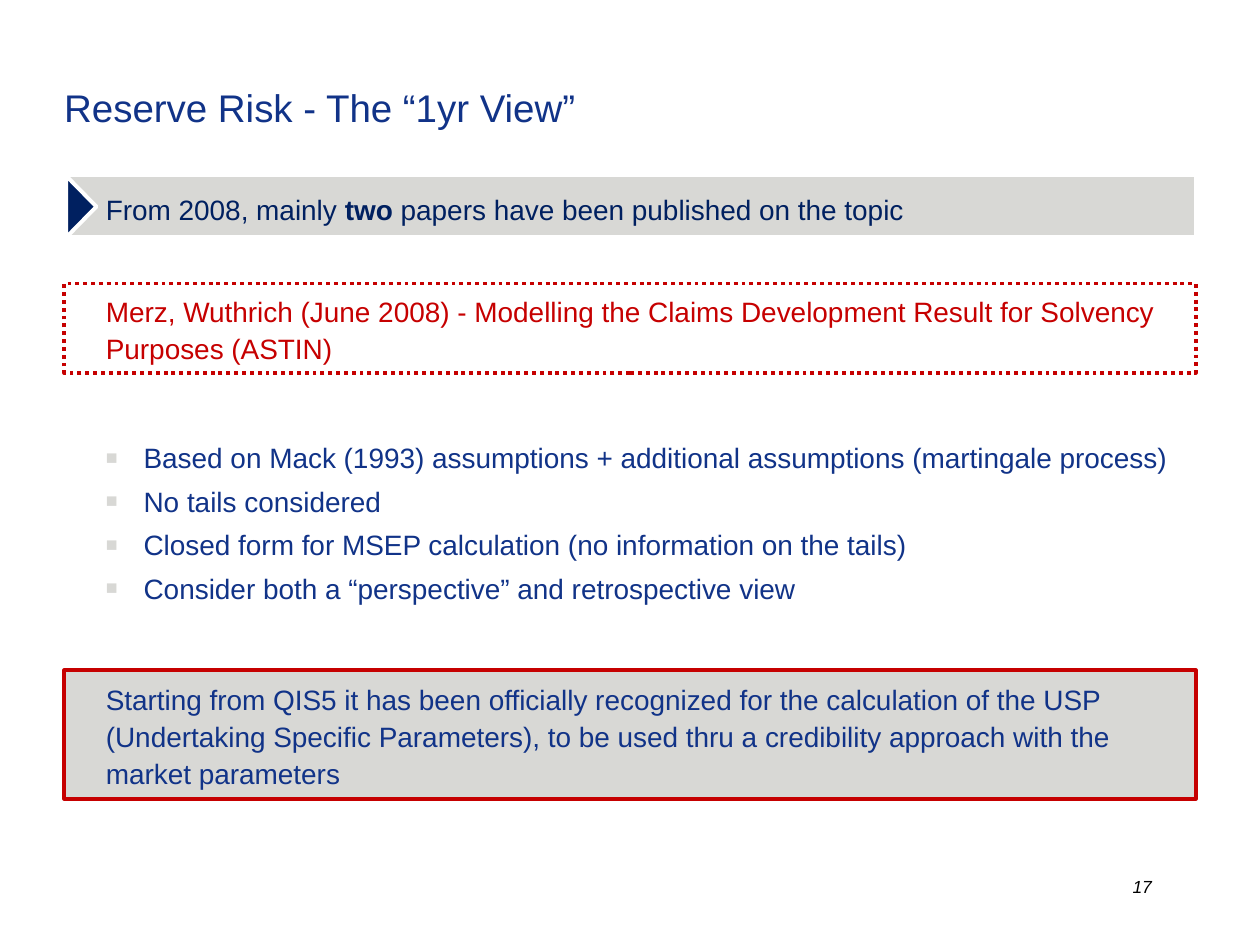
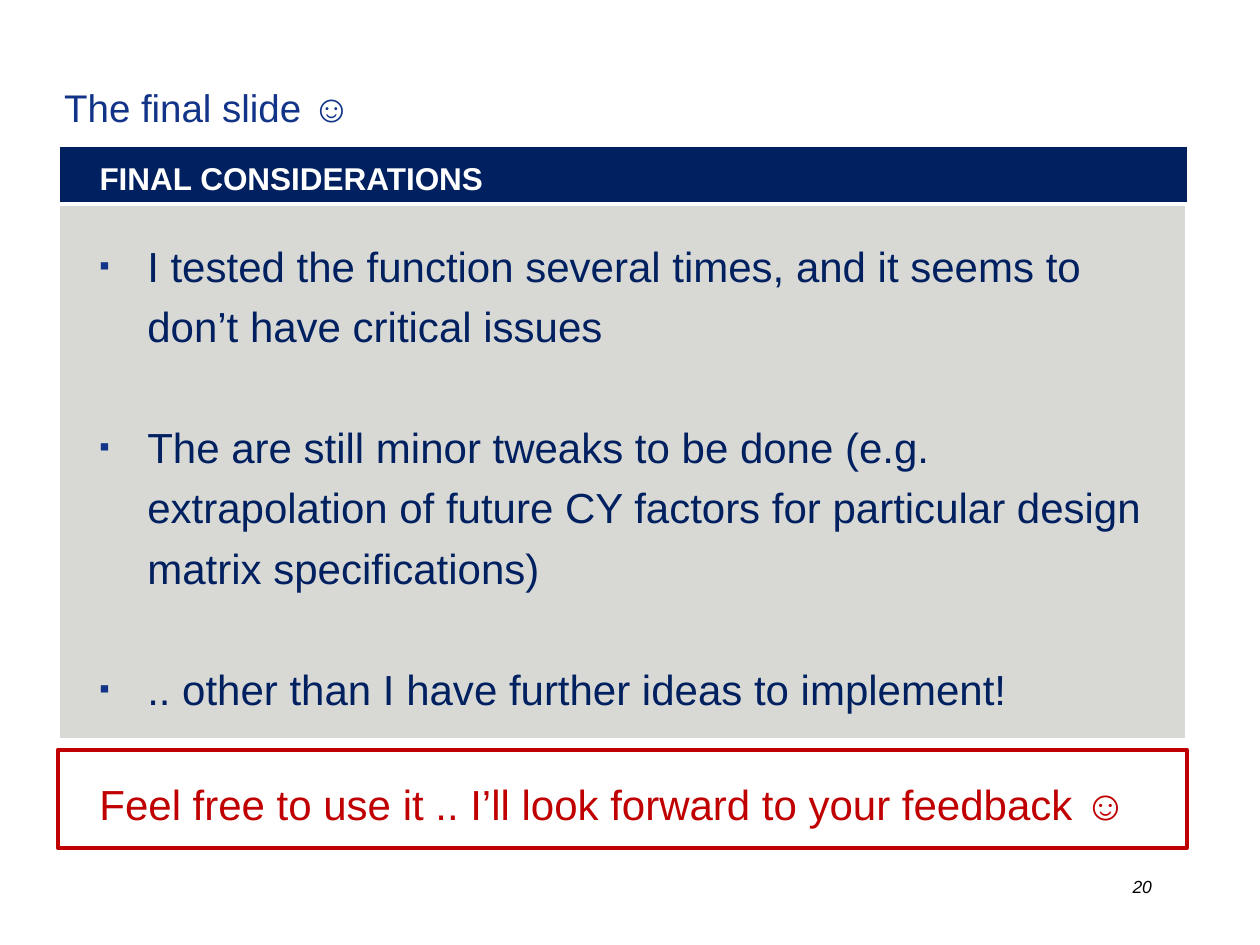
from lxml import etree
from pptx import Presentation
from pptx.dml.color import RGBColor
from pptx.enum import dml, shapes, text
from pptx.oxml import ns
from pptx.util import Inches, Pt

COLORS = {
    "navy": "002060",
    "blue": "113388",
    "grey": "D8D8D5",
    "red": "C60000",
    "dark_red": "C00000",
    "white": "FFFFFF",
    "black": "000000",
}
FONT = "Arial"
LINE_WIDTH = 2.25
BAND_INSET = 0.33


def rgb(name):
    return RGBColor.from_string(COLORS[name])


def style_span(span, size, color, bold=False, italic=False):
    span.font.name = FONT
    span.font.size = Pt(size)
    span.font.color.rgb = rgb(color)
    span.font.bold = bold
    span.font.italic = italic


def set_insets(frame, left, top, right, bottom):
    frame.margin_left, frame.margin_top = Inches(left), Inches(top)
    frame.margin_right, frame.margin_bottom = Inches(right), Inches(bottom)
    frame.word_wrap = True


def add_label(page, place, words, size, color, italic=False, insets=(0, 0, 0, 0)):
    box = page.shapes.add_textbox(*map(Inches, place))
    set_insets(box.text_frame, *insets)
    box.text_frame.text = words
    style_span(box.text_frame.paragraphs[0].runs[0], size, color, italic=italic)


def add_page(deck, title, number):
    page = deck.slides.add_slide(deck.slide_layouts[6])
    add_label(page, (0.51, 0.67, 8.98, 0.75), title, 22, "blue")
    add_label(page, (8.89, 6.9, 0.83, 0.27), number, 10, "black", italic=True,
              insets=(0.1, 0.05, 0.1, 0.05))
    return page


def paint(shape, fill, line):
    shape.shadow.inherit = False
    if fill:
        shape.fill.solid()
        shape.fill.fore_color.rgb = rgb(fill)
    else:
        shape.fill.background()
    if line:
        shape.line.color.rgb = rgb(line)
        shape.line.width = Pt(LINE_WIDTH)
    else:
        shape.line.fill.background()


def add_band(page, place, paragraphs, size, color, fill=None, line=None,
             spacing=1.2, bold=()):
    band = page.shapes.add_shape(shapes.MSO_SHAPE.RECTANGLE, *map(Inches, place))
    paint(band, fill, line)
    frame = band.text_frame
    set_insets(frame, BAND_INSET, 0.05, 0.1, 0.05)
    frame.vertical_anchor = text.MSO_ANCHOR.MIDDLE
    for index, spans in enumerate(paragraphs):
        para = frame.paragraphs[0] if index == 0 else frame.add_paragraph()
        para.alignment = text.PP_ALIGN.LEFT
        para.line_spacing = spacing
        for words in spans:
            span = para.add_run()
            span.text = words
            style_span(span, size, color, bold=words in bold)
    return band


def add_bullets(band, symbol, color, indent, gap=0):
    paragraphs = band.text_frame.paragraphs
    for para in paragraphs:
        if para is not paragraphs[-1]:
            para.space_after = Pt(gap)
        props = para._p.get_or_add_pPr()
        props.set("marL", str(Inches(indent)))
        props.set("indent", str(-Inches(indent)))
        bullet_color = etree.SubElement(props, ns.qn("a:buClr"))
        etree.SubElement(bullet_color, ns.qn("a:srgbClr"), val=COLORS[color])
        etree.SubElement(props, ns.qn("a:buSzPct"), val="70000")
        etree.SubElement(props, ns.qn("a:buFont"), typeface=FONT)
        etree.SubElement(props, ns.qn("a:buChar"), char=symbol)


def add_pointer(page, place):
    pointer = page.shapes.add_shape(
        shapes.MSO_SHAPE.ISOSCELES_TRIANGLE, *map(Inches, place))
    pointer.rotation = 90
    paint(pointer, "navy", "white")


def build_reserve_risk(deck):
    page = add_page(deck, "Reserve Risk - The “1yr View”", "17")
    left, width = 0.51, 8.98
    add_band(page, (left, 1.39, width, 0.49),
             [["From 2008, mainly ", "two", " papers have been published on the topic"]],
             16, "navy", "grey", "white", bold=("two",))
    add_pointer(page, (0.4, 1.52, 0.49, 0.24))
    paper = add_band(page, (left, 2.25, width, 0.71),
                     [["Merz, Wuthrich (June 2008) - Modelling the Claims Development "
                       "Result for Solvency Purposes (ASTIN)"]],
                     16, "red", line="red", spacing=1.1)
    paper.line.dash_style = dml.MSO_LINE.ROUND_DOT
    features = add_band(page, (left, 3.36, width, 1.5), [
        ["Based on Mack (1993) assumptions + additional assumptions (martingale process)"],
        ["No tails considered"],
        ["Closed form for MSEP calculation (no information on the tails)"],
        ["Consider both a “perspective” and retrospective view"],
    ], 16, "blue", spacing=1.3)
    add_bullets(features, "■", "grey", 0.3)
    add_band(page, (left, 5.32, width, 1.02),
             [["Starting from QIS5 it has been officially recognized for the calculation "
               "of the USP (Undertaking Specific Parameters), to be used thru a "
               "credibility approach with the market parameters"]],
             16, "blue", "grey", "red", spacing=1.1)


def build_final_slide(deck):
    page = add_page(deck, "The final slide ☺", "20")
    left, width = 0.46, 8.96
    heading = "FINAL CONSIDERATIONS"
    add_band(page, (left, 1.15, 8.98, 0.47), [[heading]], 18, "white",
             "navy", "white", bold=(heading,))
    considerations = add_band(page, (left, 1.62, width, 4.25), [
        ["I tested the function several times, and it seems to don’t have critical issues"],
        ["The are still minor tweaks to be done (e.g. extrapolation of future CY factors "
         "for particular design matrix specifications)"],
        [".. other than I have further ideas to implement!"],
    ], 24, "navy", "grey", "white")
    add_bullets(considerations, "▪", "blue", 0.38, gap=34.6)
    add_band(page, (left, 5.95, width, 0.78),
             [["Feel free to use it .. I’ll look forward to your feedback ☺"]],
             24, "dark_red", "white", "dark_red")


def main():
    deck = Presentation()
    deck.slide_width, deck.slide_height = Inches(10), Inches(7.5)
    build_reserve_risk(deck)
    build_final_slide(deck)
    deck.save("out.pptx")


if __name__ == "__main__":
    main()
